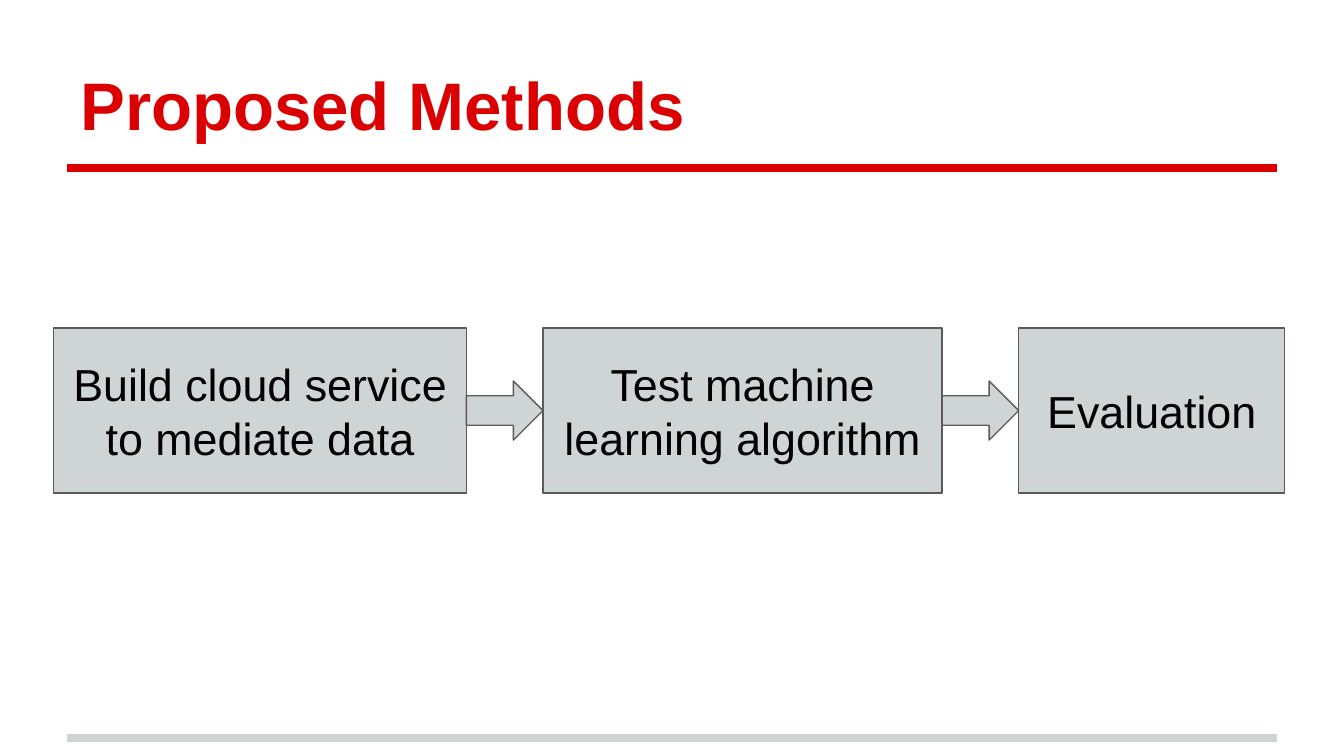
from dataclasses import dataclass

from lxml.etree import SubElement
from pptx import Presentation
from pptx.dml.color import RGBColor
from pptx.enum.shapes import MSO_CONNECTOR, MSO_SHAPE as Preset
from pptx.enum.text import MSO_ANCHOR as Anchor, PP_ALIGN as Align
from pptx.oxml.ns import qn
from pptx.util import Inches, Pt

COLORS = {"red": "DA0002", "gray": "CFD4D4", "outline": "5B595A", "black": "000000"}
TITLE_FONT = {"name": "Arial", "size": Pt(36), "bold": True}
STEP_FONT = {"name": "Arial", "size": Pt(24), "bold": False}
MARGIN = Inches(0.1)
FRAME = {"word_wrap": True, "margin_left": MARGIN, "margin_right": MARGIN,
         "margin_top": MARGIN, "margin_bottom": MARGIN}

FLOW_LEFT, STEP_TOP, STEP_HEIGHT = 0.4, 2.44, 1.23
ARROW_WIDTH, ARROW_HEIGHT = 0.57, 0.44


@dataclass
class Step:
    text: str
    width: float


@dataclass
class Rule:
    y: float
    color: str


STEPS = [
    Step("Build cloud service to mediate data", 3.07),
    Step("Test machine learning algorithm", 2.97),
    Step("Evaluation", 1.98),
]
RULES = [Rule(5.49, "gray"), Rule(1.25, "red")]


def rgb(name: str) -> RGBColor:
    return RGBColor.from_string(COLORS[name])


def add_rule(page, rule: Rule) -> None:
    y = Inches(rule.y)
    line = page.shapes.add_connector(MSO_CONNECTOR.STRAIGHT, Inches(0.5), y, Inches(9.5), y)
    line.line.color.rgb = rgb(rule.color)
    line.line.width = Pt(4)
    SubElement(line._element.spPr, qn("a:effectLst"))


def set_text(box, text: str, font: dict, color: str, anchor: Anchor, align: Align) -> None:
    frame = box.text_frame
    for name, value in FRAME.items():
        setattr(frame, name, value)
    frame.vertical_anchor = anchor
    para = frame.paragraphs[0]
    para.alignment = align
    span = para.add_run()
    span.text = text
    for name, value in font.items():
        setattr(span.font, name, value)
    span.font.color.rgb = rgb(color)


def add_block(page, preset: Preset, left: float, top: float, width: float, height: float):
    block = page.shapes.add_shape(preset, Inches(left), Inches(top), Inches(width), Inches(height))
    block.shadow.inherit = False
    block.fill.solid()
    block.fill.fore_color.rgb = rgb("gray")
    block.line.color.rgb = rgb("outline")
    block.line.width = Pt(0.75)
    return block


def add_flow(page, steps: list[Step]) -> None:
    left = FLOW_LEFT
    arrow_top = STEP_TOP + (STEP_HEIGHT - ARROW_HEIGHT) / 2
    for index, step in enumerate(steps):
        # Arrow from the previous step
        if index:
            add_block(page, Preset.RIGHT_ARROW, left, arrow_top, ARROW_WIDTH, ARROW_HEIGHT)
            left += ARROW_WIDTH
        box = add_block(page, Preset.RECTANGLE, left, STEP_TOP, step.width, STEP_HEIGHT)
        set_text(box, step.text, STEP_FONT, "black", Anchor.MIDDLE, Align.CENTER)
        left += step.width


def main() -> None:
    deck = Presentation()
    # Widescreen, 16:9
    deck.slide_width = Inches(10)
    deck.slide_height = deck.slide_width * 9 // 16
    page = deck.slides.add_slide(deck.slide_layouts[6])

    # Rules under the title and at the foot
    for rule in RULES:
        add_rule(page, rule)

    # Title
    title = page.shapes.add_textbox(Inches(0.5), Inches(0.23), Inches(9), Inches(0.94))
    set_text(title, "Proposed Methods", TITLE_FONT, "red", Anchor.BOTTOM, Align.LEFT)

    # Steps joined by arrows
    add_flow(page, STEPS)

    deck.save("out.pptx")


if __name__ == "__main__":
    main()
